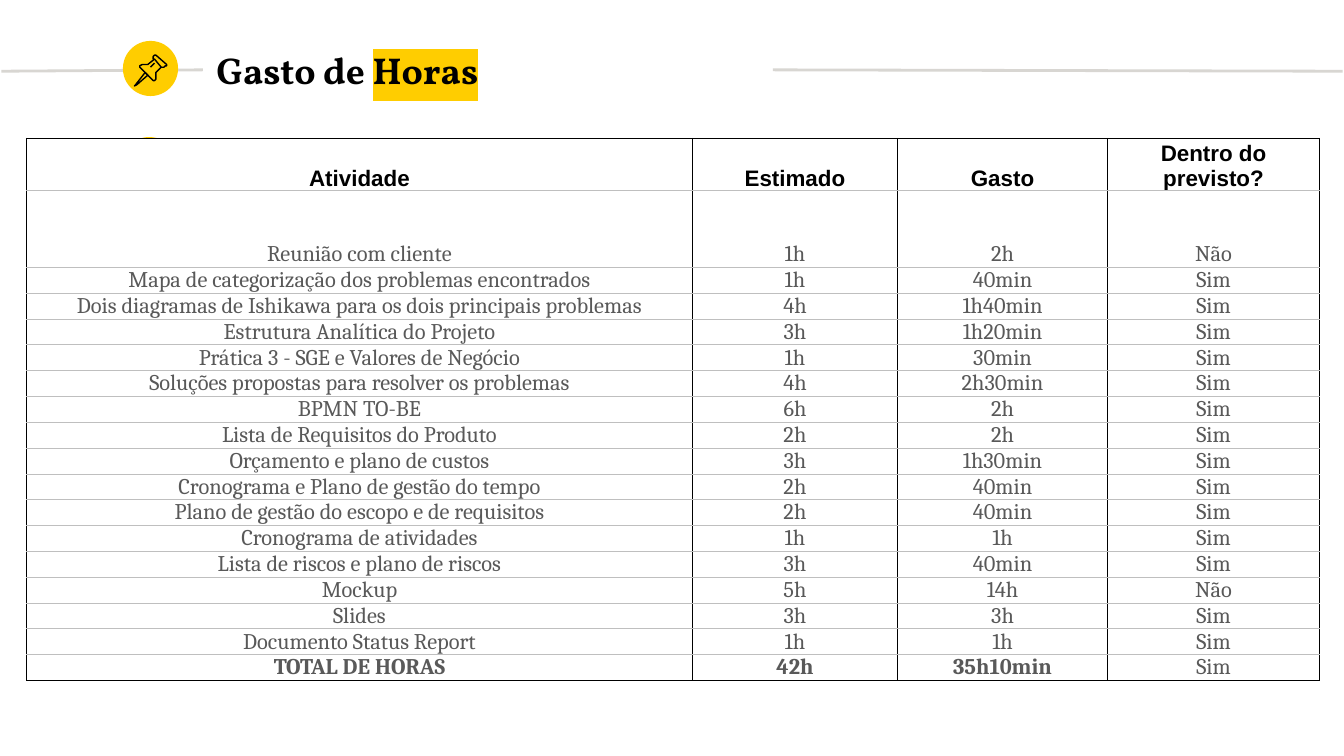
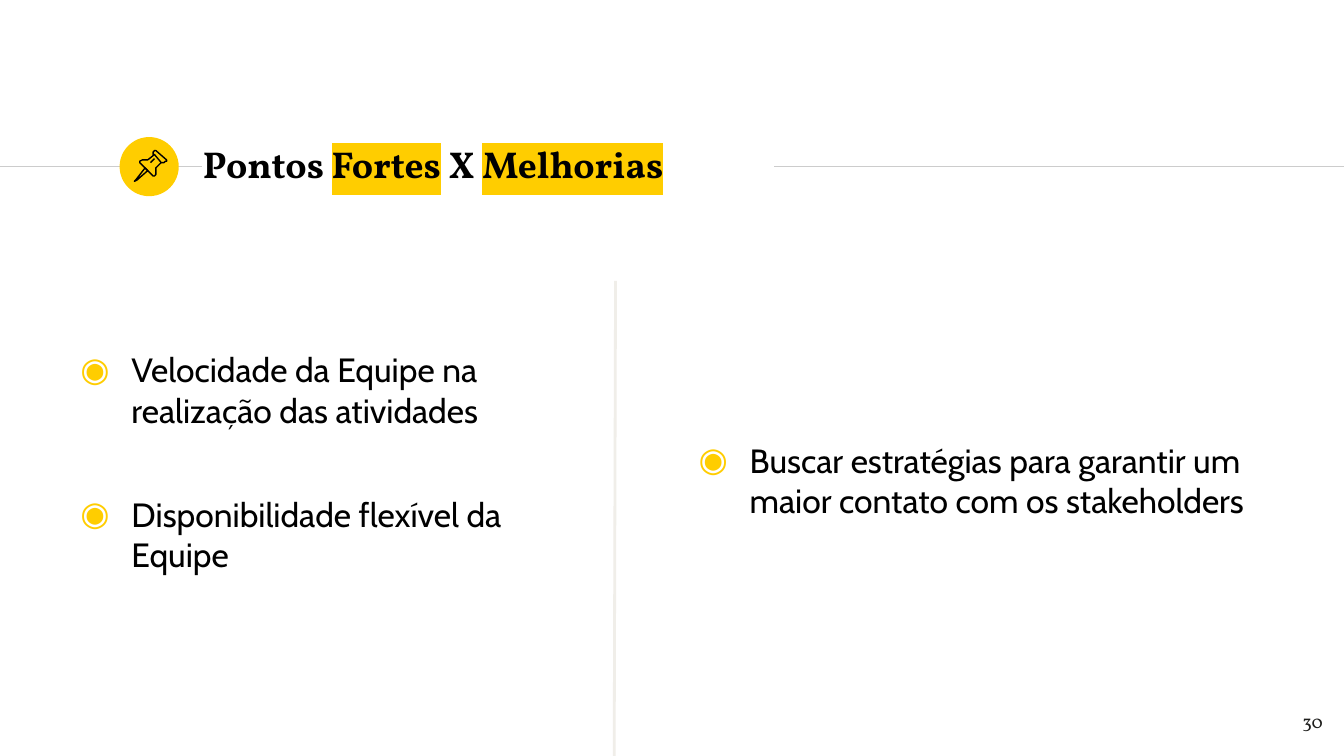
from lxml import etree
from pptx import Presentation
from pptx.dml.color import RGBColor
from pptx.enum.shapes import MSO_CONNECTOR, MSO_SHAPE
from pptx.enum.text import MSO_ANCHOR, PP_ALIGN
from pptx.oxml.ns import qn
from pptx.util import Inches, Pt

COLORS = {
    "yellow": "FFCD00",
    "white": "FFFFFF",
    "black": "000000",
    "ink": "1D1D1B",
    "gray_text": "595959",
    "band": "CCCCCC",
    "title_line": "D8D6D2",
    "divider": "F0EEE9",
    "row_line": "BFBFBF",
}
TITLE_FONT, BODY_FONT = "Vollkorn", "Cabin"
HEADER_FONT, TABLE_FONT = "Arial", "Cambria"

# Pin outline in hundredths of an inch: points and whether the outline closes
PIN_PARTS = [
    ([(8, 13), (1, 22), (0, 23), (2, 22), (10, 15)], True),
    ([(15, 3), (20, 9), (22, 9), (23, 8), (24, 8), (24, 7),
      (16, 0), (15, 0), (14, 1), (14, 3)], True),
    ([(15, 3), (10, 7), (8, 7), (6, 7), (4, 8), (4, 9), (14, 19),
      (15, 19), (16, 18), (16, 13), (20, 9)], False),
    ([(12, 9), (15, 6)], False),
]

HOURS_HEADER = ["Atividade", "Estimado", "Gasto", "Dentro do previsto?"]
HOURS = [
    ("Reunião com cliente", "1h", "2h", "Não"),
    ("Mapa de categorização dos problemas encontrados", "1h", "40min", "Sim"),
    ("Dois diagramas de Ishikawa para os dois principais problemas", "4h", "1h40min", "Sim"),
    ("Estrutura Analítica do Projeto", "3h", "1h20min", "Sim"),
    ("Prática 3 - SGE e Valores de Negócio", "1h", "30min", "Sim"),
    ("Soluções propostas para resolver os problemas", "4h", "2h30min", "Sim"),
    ("BPMN TO-BE", "6h", "2h", "Sim"),
    ("Lista de Requisitos do Produto", "2h", "2h", "Sim"),
    ("Orçamento e plano de custos", "3h", "1h30min", "Sim"),
    ("Cronograma e Plano de gestão do tempo", "2h", "40min", "Sim"),
    ("Plano de gestão do escopo e de requisitos", "2h", "40min", "Sim"),
    ("Cronograma de atividades", "1h", "1h", "Sim"),
    ("Lista de riscos e plano de riscos", "3h", "40min", "Sim"),
    ("Mockup", "5h", "14h", "Não"),
    ("Slides", "3h", "3h", "Sim"),
    ("Documento Status Report", "1h", "1h", "Sim"),
    ("TOTAL DE HORAS", "42h", "35h10min", "Sim"),
]


def rgb(name):
    return RGBColor.from_string(COLORS[name])


def add_color(parent, tag, name):
    element = etree.SubElement(parent, qn(tag))
    etree.SubElement(element, qn("a:srgbClr")).set("val", COLORS[name])
    return element


class Deck:
    def __init__(self):
        self.presentation = Presentation()
        self.presentation.slide_width = Inches(10)
        self.presentation.slide_height = Inches(10) * 9 // 16
        self.layout = self.presentation.slide_layouts[5]
        self.slide = None

    def new_slide(self):
        self.slide = self.presentation.slides.add_slide(self.layout)

    def line(self, start, end, color, width):
        connector = self.slide.shapes.add_connector(
            MSO_CONNECTOR.STRAIGHT, *map(Inches, start + end))
        connector.line.color.rgb = rgb(color)
        connector.line.width = Pt(width)
        etree.SubElement(connector.element.spPr, qn("a:effectLst"))
        return connector

    def shape(self, kind, box, fill, outlined=False):
        shape = self.slide.shapes.add_shape(kind, *map(Inches, box))
        shape.shadow.inherit = False
        shape.fill.solid()
        shape.fill.fore_color.rgb = rgb(fill)
        if outlined:
            shape.line.color.rgb = rgb(fill)
            shape.line.width = Pt(0.75)
        else:
            shape.line.fill.background()
        return shape

    def layout_band(self):
        """Draw the shared title band and place it behind every slide."""
        parts = [
            self.line((0, 1.24), (1.5, 1.24), "band", 0.75),
            self.shape(MSO_SHAPE.OVAL, (0.89, 1.02, 0.44, 0.44), "yellow"),
            self.line((5.76, 1.24), (10, 1.24), "band", 0.75),
        ]
        tree = self.layout.shapes.element
        for index, part in enumerate(parts):
            part.element.xpath(".//p:cNvPr")[0].set("id", str(101 + index))
            tree.insert(2 + index, part.element)

    def style(self, paragraph, font, size, color, bold=False, align=PP_ALIGN.LEFT):
        paragraph.alignment = align
        paragraph.font.name = font
        paragraph.font.size = Pt(size)
        paragraph.font.bold = bold
        paragraph.font.color.rgb = rgb(color)

    def frame(self, shape):
        frame = shape.text_frame
        frame.word_wrap = True
        frame.margin_left = frame.margin_right = Inches(0.1)
        frame.margin_top = frame.margin_bottom = Inches(0.1)
        return frame

    def title(self, box, runs):
        """Write (text, highlighted) runs in the title placeholder."""
        title = self.slide.shapes.title
        title.left, title.top, title.width, title.height = map(Inches, box)
        frame = self.frame(title)
        frame.vertical_anchor = MSO_ANCHOR.MIDDLE
        paragraph = frame.paragraphs[0]
        self.style(paragraph, TITLE_FONT, 20, "black", bold=True)
        for text, highlighted in runs:
            run = paragraph.add_run()
            run.text = text
            if highlighted:
                add_color(run._r.get_or_add_rPr(), "a:highlight", "yellow")

    def text_box(self, box):
        return self.frame(self.slide.shapes.add_textbox(*map(Inches, box)))

    def bullets(self, box, items, gap=0):
        frame = self.text_box(box)
        for index, item in enumerate(items):
            paragraph = frame.add_paragraph() if index else frame.paragraphs[0]
            paragraph.text = item
            if index:
                paragraph.space_before = Pt(gap)
            self.style(paragraph, BODY_FONT, 18, "black")
            properties = paragraph._p.get_or_add_pPr()
            properties.set("marL", str(Inches(0.5)))
            properties.set("indent", str(Inches(-0.38)))
            bullet_color = add_color(properties, "a:buClr", "yellow")
            bullet_font = etree.SubElement(properties, qn("a:buFont"))
            bullet_font.set("typeface", BODY_FONT)
            bullet = etree.SubElement(properties, qn("a:buChar"))
            bullet.set("char", "◉")
            default_font = properties.find(qn("a:defRPr"))
            for element in (bullet_color, bullet_font, bullet):
                default_font.addprevious(element)

    def page_number(self, number):
        paragraph = self.text_box((9.34, 5.2, 0.6, 0.43)).paragraphs[0]
        paragraph.text = str(number)
        self.style(paragraph, TITLE_FONT, 10, "ink", align=PP_ALIGN.RIGHT)

    def pin(self, top):
        group = self.slide.shapes.add_group_shape()
        for points, closed in PIN_PARTS:
            builder = group.shapes.build_freeform(*points[0], scale=Inches(0.01))
            builder.add_line_segments(points[1:], close=closed)
            part = builder.convert_to_shape(Inches(1), Inches(top))
            part.shadow.inherit = False
            part.fill.background()
            part.line.color.rgb = rgb("black")
            part.line.width = Pt(0.75)

    def cell(self, cell, text, font, color, bold, top, bottom):
        cell.margin_left = cell.margin_right = Inches(0.07)
        cell.margin_top = cell.margin_bottom = 0
        cell.vertical_anchor = MSO_ANCHOR.BOTTOM
        paragraph = cell.text_frame.paragraphs[0]
        paragraph.text = text
        self.style(paragraph, font, 12, color, bold, PP_ALIGN.CENTER)
        properties = cell._tc.get_or_add_tcPr()
        borders = {"L": "black", "R": "black", "T": top, "B": bottom}
        for side, border_color in borders.items():
            border = etree.SubElement(properties, qn("a:ln" + side))
            border.set("w", str(Pt(0.5)))
            add_color(border, "a:solidFill", border_color)
        cell.fill.background()

    def table(self, left, top, widths, heights, header, rows):
        table = self.slide.shapes.add_table(
            len(heights), len(widths), Inches(left), Inches(top),
            Inches(sum(widths)), Inches(sum(heights))).table
        table.first_row = table.horz_banding = False
        for column, width in zip(table.columns, widths):
            column.width = Inches(width)
        for row, height in zip(table.rows, heights):
            row.height = Inches(height)
        last = len(rows)
        for row_index, values in enumerate([header, *rows]):
            is_header = row_index == 0
            for column_index, text in enumerate(values):
                is_total = row_index == last and column_index < 3
                self.cell(
                    table.cell(row_index, column_index), text,
                    HEADER_FONT if is_header else TABLE_FONT,
                    "black" if is_header else "gray_text",
                    is_header or is_total,
                    "black" if is_header else "row_line",
                    "black" if row_index == last else "row_line")


def hours_slide(deck):
    deck.new_slide()
    deck.layout_band()
    # Clear the band to make room for the table
    deck.shape(MSO_SHAPE.RECTANGLE, (0, 1.03, 10, 0.61), "white", outlined=True)
    # Raised title band
    deck.title((1.51, 0.28, 4.24, 0.48), [("Gasto de ", False), ("Horas", True)])
    deck.line((9.99, 0.53), (5.75, 0.52), "title_line", 1.5)
    deck.line((1.51, 0.52), (0.01, 0.53), "title_line", 1.5)
    deck.shape(MSO_SHAPE.FLOWCHART_CONNECTOR, (0.92, 0.31, 0.4, 0.4), "yellow", outlined=True)
    deck.pin(0.41)
    # Hours per activity
    heights = [0.39, 0.57] + [0.19] * (len(HOURS) - 1)
    deck.table(0.2, 1.03, [4.95, 1.53, 1.56, 1.58], heights, HOURS_HEADER, HOURS)


def strengths_slide(deck):
    deck.new_slide()
    deck.title((1.41, 0.98, 4.94, 0.48), [
        ("Pontos ", False), ("Fortes", True), (" X ", False), ("Melhorias", True)])
    deck.pin(1.12)
    # Strengths on the left, improvements on the right
    deck.bullets((0.38, 2.5, 4.05, 2.74), [
        "Velocidade da Equipe na realização das atividades",
        "Disponibilidade flexível da Equipe"], gap=34)
    deck.bullets((4.98, 3.17, 4.76, 1.4), [
        "Buscar estratégias para garantir um maior contato com os stakeholders"])
    deck.line((4.58, 2.09), (4.57, 5.7), "divider", 1.5)
    deck.page_number(30)


def main():
    deck = Deck()
    hours_slide(deck)
    strengths_slide(deck)
    deck.presentation.save("out.pptx")


if __name__ == "__main__":
    main()
